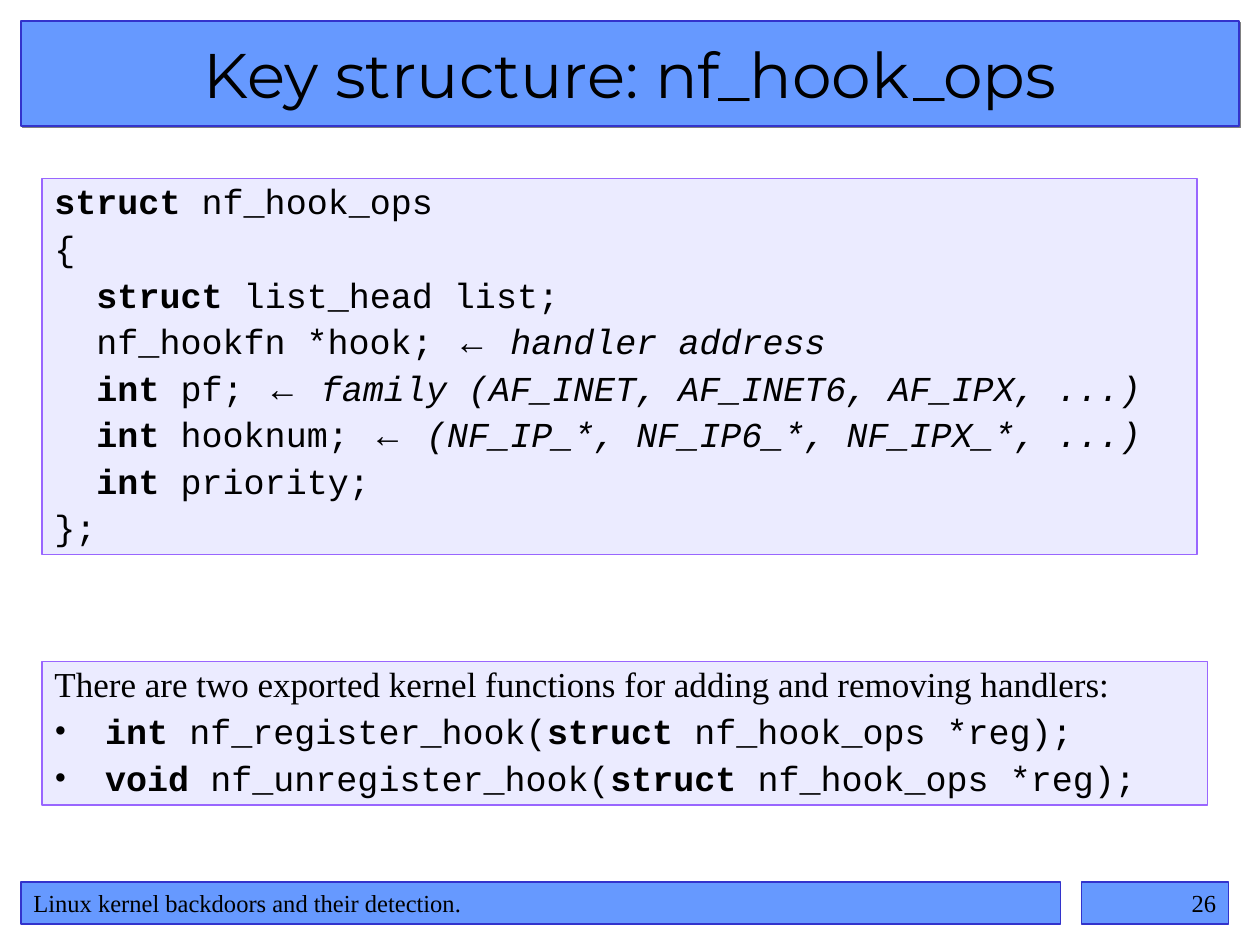
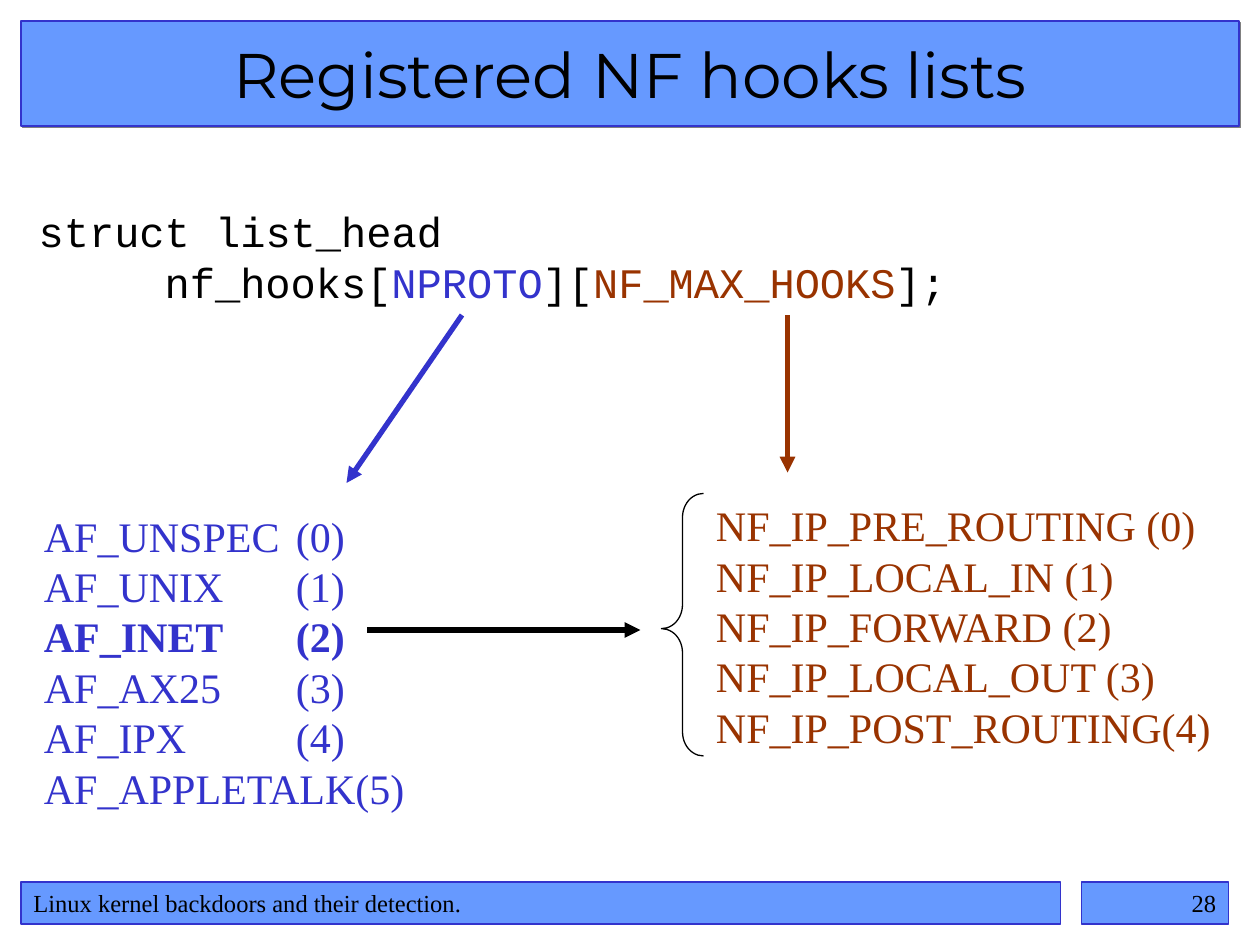
import pptx
import pptx.util
import pptx.dml.color
import pptx.enum.shapes
import pptx.enum.text
import pptx.oxml
import pptx.oxml.ns
from lxml import etree

Pt = pptx.util.Pt
SHAPES = pptx.enum.shapes.MSO_SHAPE
ALIGN = pptx.enum.text.PP_ALIGN
ANCHOR = pptx.enum.text.MSO_ANCHOR

COLOURS = {
    "band": "6699FF",
    "blue": "3333CC",
    "panel": "EBEBFF",
    "panel_line": "9966FF",
    "brown": "993300",
    "black": "000000",
    "shadow": "808080",
}
TITLE_FONT, SERIF, MONO, ARROW_FONT = "Montserrat", "Times New Roman", "Courier New", "Arial"

# Boxes are left, top, width, height
TITLE_BOX = (12, 12, 696, 60)
BODY_BOX = (12, 102, 696, 390)
FOOTER_BOX = (12, 504, 690, 24)
FOOTER_TEXT = "Linux kernel backdoors and their detection."

ARROW = ("←", "arrow")
STRUCT_LINES = [
    [("struct", "bold"), " nf_hook_ops"],
    ["{"],
    ["  ", ("struct", "bold"), " list_head list;"],
    ["  nf_hookfn *hook; ", ARROW, (" handler address", "italic")],
    ["  ", ("int", "bold"), " pf; ", ARROW,
     (" family (AF_INET, AF_INET6, AF_IPX, ...)", "italic")],
    ["  ", ("int", "bold"), " hooknum; ", ARROW,
     (" (NF_IP_*, NF_IP6_*, NF_IPX_*, ...)", "italic")],
    ["  ", ("int", "bold"), " priority;"],
    ["};"],
]
INTRO = "There are two exported kernel functions for adding and removing handlers:"
FUNCTIONS = [("int", " nf_register_hook("), ("void", " nf_unregister_hook(")]
FAMILIES = ["AF_UNSPEC\t(0)", "AF_UNIX\t(1)", "AF_INET\t(2)",
            "AF_AX25\t(3)", "AF_IPX\t(4)", "AF_APPLETALK(5)"]
HOOKS = ["NF_IP_PRE_ROUTING (0)", "NF_IP_LOCAL_IN (1)", "NF_IP_FORWARD (2)",
         "NF_IP_LOCAL_OUT (3)", "NF_IP_POST_ROUTING(4)"]


def colour(name):
    return pptx.dml.color.RGBColor.from_string(COLOURS[name])


def add_child(parent, tag, **attributes):
    return etree.SubElement(parent, pptx.oxml.ns.qn(tag), attributes)


# Text
def style_run(run, style):
    if style == "bold":
        run.font.bold = True
    elif style in ("italic", "arrow"):
        run.font.italic = True
        if style == "arrow":
            run.font.name = ARROW_FONT
    elif style:
        run.font.color.rgb = colour(style)


def write_paragraph(frame, runs, font, size, ink="black", align=ALIGN.LEFT,
                    spacing=None, bullet_indent=0, tab=0):
    """Add one paragraph; each run is a string or a (text, style) pair."""
    first = not frame.paragraphs[0].runs
    paragraph = frame.paragraphs[0] if first else frame.add_paragraph()
    paragraph.alignment = align
    if spacing:
        paragraph.line_spacing = spacing[0]
        if not first:
            paragraph.space_before = Pt(spacing[1])
    properties = paragraph._p.get_or_add_pPr()
    if bullet_indent:
        properties.set("marL", str(Pt(bullet_indent)))
        properties.set("indent", str(-Pt(bullet_indent)))
        add_child(properties, "a:buFont", typeface=SERIF)
        add_child(properties, "a:buChar", char="•")
    if tab:
        tabs = add_child(properties, "a:tabLst")
        add_child(tabs, "a:tab", pos=str(Pt(tab)), algn="l")
    paragraph.font.name = font
    paragraph.font.size = Pt(size)
    paragraph.font.color.rgb = colour(ink)
    for item in runs:
        text, style = (item, None) if isinstance(item, str) else item
        run = paragraph.add_run()
        run.text = text
        style_run(run, style)


def add_text_box(slide, box):
    frame = slide.shapes.add_textbox(*map(Pt, box)).text_frame
    frame.word_wrap = True
    return frame


# Shapes
def add_rectangle(slide, box, fill, line, anchor=ANCHOR.TOP, shadow=False):
    shape = slide.shapes.add_shape(SHAPES.RECTANGLE, *map(Pt, box))
    shape.fill.solid()
    shape.fill.fore_color.rgb = colour(fill)
    shape.line.color.rgb = colour(line)
    shape.line.width = Pt(0.75)
    shape.shadow.inherit = False
    if shadow:
        effects = shape._element.spPr.find(pptx.oxml.ns.qn("a:effectLst"))
        outer = add_child(effects, "a:outerShdw", dist=str(Pt(1.4)),
                          dir="2700000", algn="ctr", rotWithShape="0")
        add_child(outer, "a:srgbClr", val=COLOURS["shadow"])
    frame = shape.text_frame
    frame.word_wrap = True
    frame.vertical_anchor = anchor
    return frame


def add_band(slide, box, text, font, size, align, anchor=ANCHOR.TOP, shadow=False):
    frame = add_rectangle(slide, box, "band", "blue", anchor, shadow)
    write_paragraph(frame, [text], font, size, align=align)


def add_arrow(slide, start, end, ink):
    connector = slide.shapes.add_connector(
        pptx.enum.shapes.MSO_CONNECTOR.STRAIGHT, *map(Pt, start + end))
    connector.line.color.rgb = colour(ink)
    connector.line.width = Pt(3)
    add_child(connector.line._get_or_add_ln(), "a:tailEnd", type="triangle")
    add_child(connector._element.spPr, "a:effectLst")


def add_brace(slide, box):
    brace = slide.shapes.add_shape(SHAPES.LEFT_BRACE, *map(Pt, box))
    brace.adjustments[0] = 0.57
    brace.adjustments[1] = 0.515
    brace.fill.background()
    brace.line.color.rgb = colour("black")
    brace.line.width = Pt(0.75)
    brace.shadow.inherit = False


# Regions
def add_footer(slide, box, number):
    left, top, width, height = box
    number_width, gap = 84, 12
    text_width = width - number_width - gap
    add_band(slide, (left, top, text_width, height), FOOTER_TEXT, SERIF, 14, ALIGN.LEFT)
    add_band(slide, (left + text_width + gap, top, number_width, height),
             str(number), SERIF, 14, ALIGN.RIGHT)


def add_structure(slide, box):
    left, top, width, height = box
    spacing = (0.9, 5)

    # Structure definition
    frame = add_rectangle(slide, (left + 12, top, width - 36, 215), "panel", "panel_line")
    for runs in STRUCT_LINES:
        write_paragraph(frame, runs, MONO, 20, spacing=spacing)

    # Registration functions
    frame = add_rectangle(slide, (left + 12, top + 276, width - 30, 82), "panel", "panel_line")
    write_paragraph(frame, [INTRO], SERIF, 20, spacing=spacing)
    for result_type, name in FUNCTIONS:
        runs = [(result_type, "bold"), name, ("struct", "bold"), " nf_hook_ops *reg);"]
        write_paragraph(frame, runs, MONO, 20, spacing=spacing, bullet_indent=29)


def add_hook_lists(slide, box):
    left, top, width, height = box

    def at(x, y):
        return left + x, top + y

    # Array declaration
    frame = add_text_box(slide, at(3, 12) + (550, 65))
    write_paragraph(frame, ["struct list_head"], MONO, 24)
    write_paragraph(frame, ["\tnf_hooks[", ("NPROTO", "blue"), "][",
                            ("NF_MAX_HOOKS", "brown"), "];"], MONO, 24, tab=72)

    # Protocol families
    frame = add_text_box(slide, at(6, 186) + (236, 180))
    for family in FAMILIES:
        style = "bold" if family.startswith("AF_INET") else None
        write_paragraph(frame, [(family, style)], SERIF, 24, "blue", tab=144)

    # Hook numbers
    frame = add_text_box(slide, at(390, 180) + (300, 151))
    for hook in HOOKS:
        write_paragraph(frame, [hook], SERIF, 24, "brown")
    add_brace(slide, at(366, 180) + (24, 150))

    # Arrows from the array dimensions and from the chosen family
    add_arrow(slide, at(252, 78), at(186, 174), "blue")
    add_arrow(slide, at(438, 78), at(438, 168), "brown")
    add_arrow(slide, at(198, 258), at(354, 258), "black")


def add_slide(presentation, title, number, add_body):
    slide = presentation.slides.add_slide(presentation.slide_layouts[6])
    add_band(slide, TITLE_BOX, title, TITLE_FONT, 36, ALIGN.CENTER, ANCHOR.MIDDLE, shadow=True)
    add_body(slide, BODY_BOX)
    add_footer(slide, FOOTER_BOX, number)


def main():
    presentation = pptx.Presentation()
    presentation.slide_width, presentation.slide_height = Pt(720), Pt(540)
    add_slide(presentation, "Key structure: nf_hook_ops", 26, add_structure)
    add_slide(presentation, "Registered NF hooks lists", 28, add_hook_lists)
    presentation.save("out.pptx")


if __name__ == "__main__":
    main()
